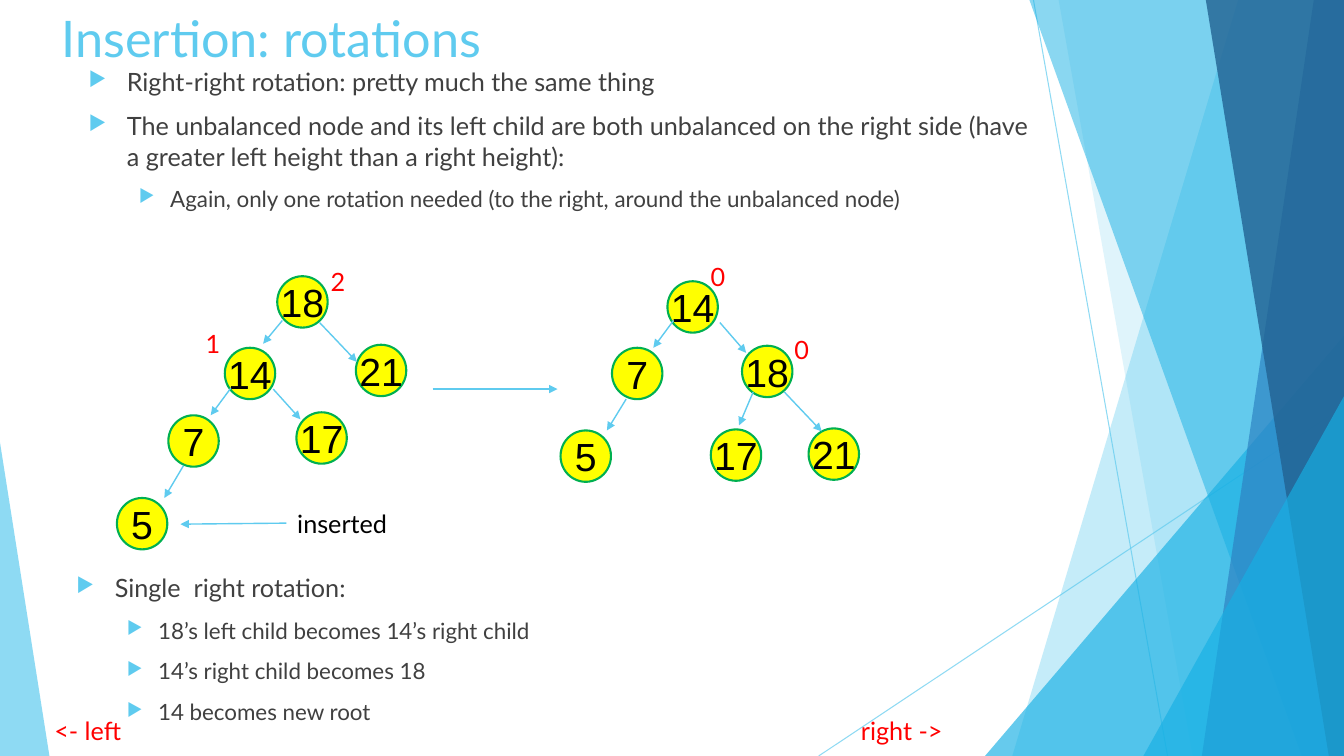
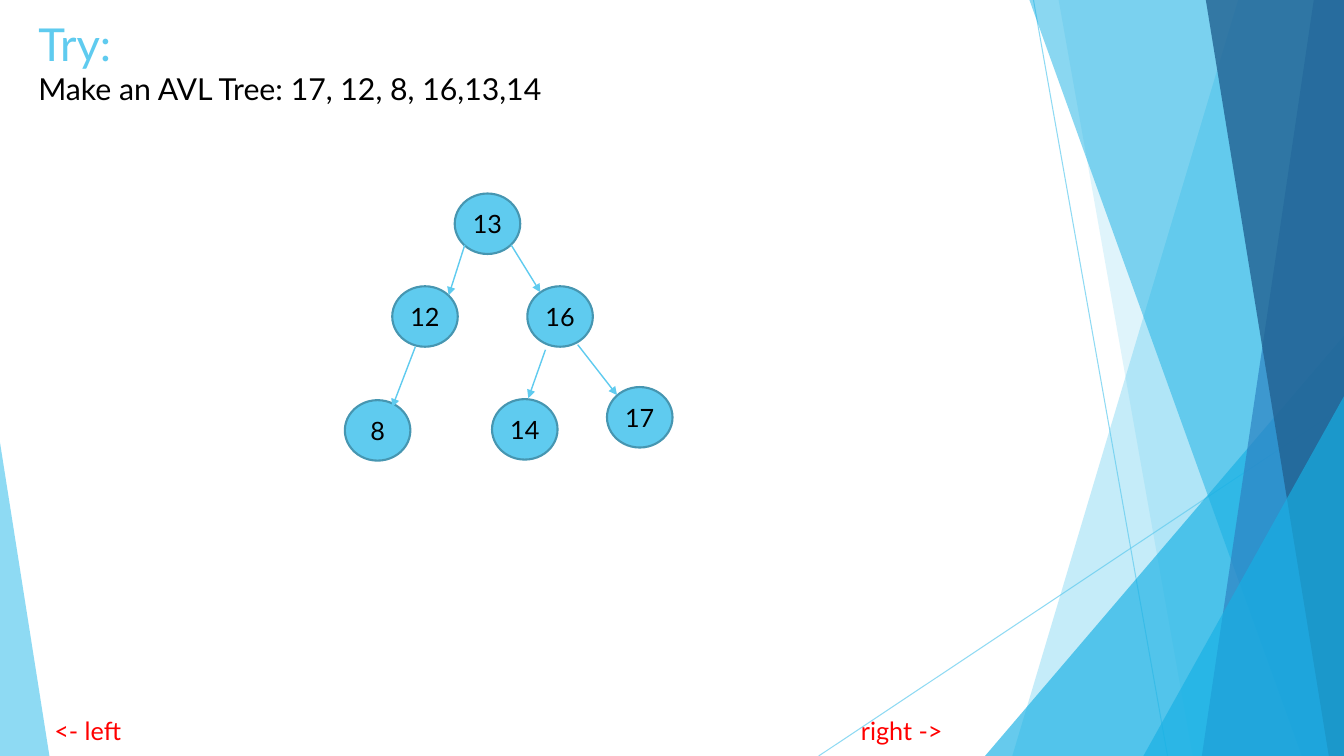
from lxml import etree
from pptx import Presentation
from pptx.dml.color import RGBColor
from pptx.enum.shapes import MSO_CONNECTOR, MSO_SHAPE
from pptx.enum.text import MSO_ANCHOR, MSO_AUTO_SIZE, PP_ALIGN
from pptx.oxml.ns import qn
from pptx.util import Inches, Pt

STRAIGHT = MSO_CONNECTOR.STRAIGHT
OVAL = MSO_SHAPE.OVAL
TRIANGLE = MSO_SHAPE.ISOSCELES_TRIANGLE
MIDDLE = MSO_ANCHOR.MIDDLE
LEFT, CENTER = PP_ALIGN.LEFT, PP_ALIGN.CENTER
FIXED_SIZE = MSO_AUTO_SIZE.NONE

SKY = RGBColor(0x5F, 0xCB, 0xEF)
CYAN = RGBColor(0x17, 0xB0, 0xE4)
BLUE = RGBColor(0x2E, 0x83, 0xC3)
NAVY = RGBColor(0x22, 0x62, 0x92)
TEAL = RGBColor(0x46, 0x96, 0xB1)
YELLOW = RGBColor(0xFF, 0xFF, 0x00)
GREEN = RGBColor(0x00, 0xB0, 0x50)
RED = RGBColor(0xFF, 0x00, 0x00)
GRAY = RGBColor(0x40, 0x40, 0x40)
BLACK = RGBColor(0x00, 0x00, 0x00)

COLUMNS, ROWS = 133.3, 75
CELL = Inches(0.1)


def write(paragraph, text, size=18, colour=BLACK, font="Lato", align=LEFT):
    paragraph.alignment = align
    run = paragraph.add_run()
    run.text = text
    run.font.size = Pt(size)
    run.font.name = font
    run.font.color.rgb = colour


def connect(slide, ends, width=1, opacity=100, arrow=True):
    connector = slide.shapes.add_connector(STRAIGHT, *[round(end * CELL) for end in ends])
    connector.line.color.rgb = SKY
    connector.line.width = Pt(width)
    properties = connector.element.spPr
    colour = next(properties.iter(qn("a:srgbClr")))
    etree.SubElement(colour, qn("a:alpha"), val=str(opacity * 1000))
    if arrow:
        etree.SubElement(properties.find(qn("a:ln")), qn("a:tailEnd"), type="triangle")
    etree.SubElement(properties, qn("a:effectLst"))


presentation = Presentation()
presentation.slide_width = round(COLUMNS * CELL)
presentation.slide_height = ROWS * CELL
layout = presentation.slide_layouts[5]
for placeholder in list(layout.placeholders)[1:]:
    placeholder.element.getparent().remove(placeholder.element)

titles = [
    ((5.1, -0.1, 94, 7.7), [("Insertion: rotations", 36, SKY)]),
    ((2.8, 1, 99.6, 10.2), [("Try:", 32.4, SKY),
                            ("Make an AVL Tree: 17, 12, 8, 16,13,14", 21.6, BLACK)]),
]
slides = []
for box, lines in titles:
    slide = presentation.slides.add_slide(layout)
    slides.append(slide)
    title = slide.shapes.title
    title.left, title.top, title.width, title.height = [round(side * CELL) for side in box]
    frame = title.text_frame
    frame.auto_size = FIXED_SIZE
    frame.vertical_anchor = MIDDLE
    for index, (text, size, colour) in enumerate(lines):
        paragraph = frame.add_paragraph() if index else frame.paragraphs[0]
        write(paragraph, text, size, colour)
rotation, exercise = slides

for ends in [(102.5, 0, 115.8, ROWS), (COLUMNS, 40.3, 81.2, ROWS)]:
    connect(rotation, ends, width=0.75, opacity=70, arrow=False)

facets = [
    ("band", (122.8, 100.4), SKY, 36),
    ("band", (105, 118.3), SKY, 20),
    ("right", (97.7, 33.3, 35.6), CYAN, 66),
    ("band", (102.1, 129.1), CYAN, 50),
    ("band", (130.3, 119.2), BLUE, 70),
    ("band", (119.6, 131.8), NAVY, 80),
    ("right", (113.4, 39.3, 19.9), CYAN, 66),
    ("left", (0, 43.9, 4.9), SKY, 70),
]
for kind, place, colour, opacity in facets:
    if kind == "band":
        top_left, bottom_left = place
        corners = [(COLUMNS, 0), (COLUMNS, ROWS), (bottom_left, ROWS)]
        builder = rotation.shapes.build_freeform(round(top_left * CELL), 0)
        builder.add_line_segments(
            [(round(column * CELL), round(row * CELL)) for column, row in corners])
        shape = builder.convert_to_shape()
    else:
        left, top, width = place
        box = left, top, width, ROWS - top
        shape = rotation.shapes.add_shape(TRIANGLE, *[round(side * CELL) for side in box])
        shape.adjustments[0] = 1 if kind == "right" else 0
    shape.shadow.inherit = False
    shape.fill.solid()
    shape.fill.fore_color.rgb = colour
    shape.line.fill.background()
    fill_colour = next(shape.element.spPr.iter(qn("a:srgbClr")))
    etree.SubElement(fill_colour, qn("a:alpha"), val=str(opacity * 1000))

for shape in list(rotation.shapes)[1:]:
    layout.element.cSld.spTree.append(shape.element)

bullet_boxes = [
    ((6.6, 56.3, 95.5, 15.8), [
        (0, "Single  right rotation:"),
        (1, "18’s left child becomes 14’s right child"),
        (1, "14’s right child becomes 18"),
        (1, "14 becomes new root"),
    ]),
    ((7.8, 6.1, 95.5, 18), [
        (0, "Right-right rotation: pretty much the same thing"),
        (0, "The unbalanced node and its left child are both unbalanced on the right side "
            "(have a greater left height than a right height):"),
        (1, "Again, only one rotation needed (to the right, around the unbalanced node)"),
    ]),
]
for box, items in bullet_boxes:
    frame = rotation.shapes.add_textbox(*[round(side * CELL) for side in box]).text_frame
    frame.word_wrap = True
    for index, (level, text) in enumerate(items):
        paragraph = frame.add_paragraph() if index else frame.paragraphs[0]
        paragraph.level = level
        paragraph.space_before = Pt(10 if index else 0)
        margin, indent, size = [(0.38, -0.38, 18), (0.81, -0.31, 16)][level]
        properties = paragraph.element.get_or_add_pPr() if hasattr(paragraph, "element") else paragraph._p.get_or_add_pPr()
        properties.set("marL", str(Inches(margin)))
        properties.set("indent", str(Inches(indent)))
        bullet_colour = etree.SubElement(properties, qn("a:buClr"))
        etree.SubElement(bullet_colour, qn("a:srgbClr"), val=str(SKY))
        etree.SubElement(properties, qn("a:buSzPct"), val="80000")
        etree.SubElement(properties, qn("a:buChar"), char="▶")
        write(paragraph, text, size, GRAY)

trees = [
    (rotation, (5, 5.1), YELLOW, GREEN, 28, "Arial", [
        ("18", 27.5, 27.4), ("14", 22.3, 34.5), ("21", 35.3, 34.2),
        ("17", 29.4, 40.9), ("7", 16.7, 41.2), ("5", 11.6, 49.4),
        ("18", 73.6, 34.3), ("14", 66.2, 27.9), ("21", 80.2, 42.5),
        ("17", 70.5, 42.6), ("7", 60.7, 34.5), ("5", 55.6, 42.7),
    ], [
        (31.7, 32, 35.4, 35.9), (27.1, 38.6, 29.8, 41.6), (22.9, 38.5, 20.9, 41.2),
        (28, 31.8, 26.1, 34.1), (18.2, 46.2, 16.3, 49.4), (28.4, 51.9, 17.9, 52),
        (77.8, 38.9, 81.5, 42.8), (71.4, 32, 74, 35), (66.8, 31.8, 64.8, 34.5),
        (74.7, 38.9, 73.3, 42.2), (62.1, 39.6, 60.2, 42.7), (42.9, 38.6, 55.3, 38.6),
    ]),
    (exercise, (6.5, 6), SKY, TEAL, 18, "Lato", [
        ("12", 38.9, 28.4), ("8", 34.2, 39.7), ("17", 60.2, 38.4),
        ("16", 52.3, 28.4), ("14", 48.8, 39.6), ("13", 45.1, 19.2),
    ], [
        (41.2, 34.4, 38.9, 40.4), (54.1, 34.7, 52.4, 39.5), (57.3, 34.2, 61.2, 39.2),
        (50.7, 24.3, 53.6, 29), (46.1, 24.3, 44.5, 29.3),
    ]),
]
for slide, node_size, fill, outline, size, font, nodes, arrows in trees:
    for text, left, top in nodes:
        box = left, top, *node_size
        node = slide.shapes.add_shape(OVAL, *[round(side * CELL) for side in box])
        node.shadow.inherit = False
        node.fill.solid()
        node.fill.fore_color.rgb = fill
        node.line.color.rgb = outline
        node.line.width = Pt(1.5)
        frame = node.text_frame
        frame.margin_left = frame.margin_right = frame.margin_top = frame.margin_bottom = 0
        frame.word_wrap = False
        frame.vertical_anchor = MIDDLE
        write(frame.paragraphs[0], text, size, font=font, align=CENTER)
    for ends in arrows:
        connect(slide, ends)

labels = [
    ("inserted", 28.5, 49.9, BLACK),
    ("1", 19.4, 32.1, RED),
    ("2", 31.8, 25.9, RED),
    ("0", 69.5, 25.4, RED),
    ("0", 77.8, 32.7, RED),
]
for text, left, top, colour in labels:
    box = left, top, 11.3, 4
    frame = rotation.shapes.add_textbox(*[round(side * CELL) for side in box]).text_frame
    frame.word_wrap = True
    write(frame.paragraphs[0], text, colour=colour)

for slide in slides:
    box = 4.4, 70.5, 117.4, 4
    frame = slide.shapes.add_textbox(*[round(side * CELL) for side in box]).text_frame
    frame.word_wrap = True
    frame.vertical_anchor = MIDDLE
    paragraph = frame.paragraphs[0]
    tabs = etree.SubElement(paragraph._p.get_or_add_pPr(), qn("a:tabLst"))
    etree.SubElement(tabs, qn("a:tab"), pos=str(80 * CELL), algn="l")
    write(paragraph, "<- left\tright ->", colour=RED)

presentation.save("out.pptx")
